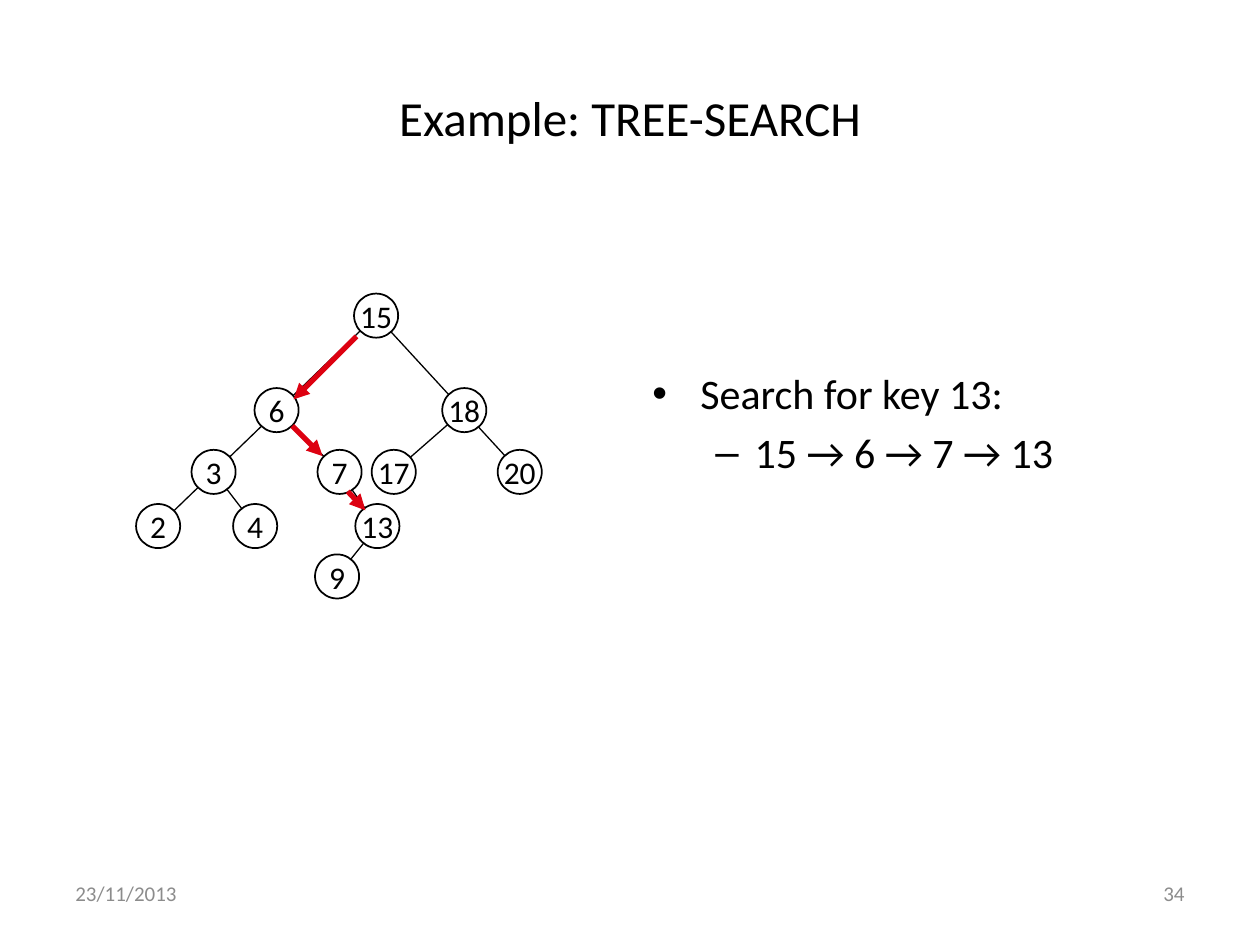
import pptx
import pptx.util
import pptx.dml.color
import pptx.enum.shapes
import pptx.enum.text
import pptx.oxml.ns
from lxml import etree

Inches, Pt = pptx.util.Inches, pptx.util.Pt
ALIGN = pptx.enum.text.PP_ALIGN
MIDDLE = pptx.enum.text.MSO_ANCHOR.MIDDLE
COLOURS = {"ink": "000000", "paper": "FFFFFF", "path": "DD0111", "footer": "8C8C8C"}
FONT = "Calibri"
WIDTH, HEIGHT = 10, 7.5
MARGIN = 0.05 * WIDTH
NODE_SIZE = 0.35

# Tree levels: top of the row, then left edge of each key
LEVELS = [
    (2.33, {15: 2.81}),
    (3.08, {6: 2.02, 18: 3.51}),
    (3.57, {3: 1.52, 7: 2.52, 17: 2.95, 20: 3.95}),
    (4.0, {2: 1.08, 4: 1.85, 13: 2.82}),
    (4.4, {9: 2.5}),
]
# Straight branches, some running through a key in between
BRANCHES = [(9, 13), (7, 13), (17, 18), (4, 3), (7, 6), (20, 15), (2, 15)]
SEARCH_STEPS = [
    ((2.83, 2.67), (2.33, 3.17)),
    ((2.32, 3.38), (2.56, 3.62)),
    ((2.76, 3.9), (2.9, 4.05)),
]


def colour(name):
    return pptx.dml.color.RGBColor.from_string(COLOURS[name])


def add_child(parent, tag, **attributes):
    return etree.SubElement(parent, pptx.oxml.ns.qn(tag), attributes)


def style(paragraph, size, ink="ink", align=None):
    paragraph.alignment = align
    for run in paragraph.runs:
        run.font.name = FONT
        run.font.size = Pt(size)
        run.font.color.rgb = colour(ink)


def add_line(shapes, start, end, ink, weight, arrow=False):
    line = shapes.add_connector(pptx.enum.shapes.MSO_CONNECTOR.STRAIGHT,
                                *(Inches(v) for v in (*start, *end)))
    line.line.color.rgb = colour(ink)
    line.line.width = Pt(weight)
    if arrow:
        add_child(line.line._get_or_add_ln(), "a:tailEnd", type="triangle")
    add_child(line._element.spPr, "a:effectLst")


def add_node(shapes, key, left, top):
    node = shapes.add_shape(pptx.enum.shapes.MSO_SHAPE.OVAL, Inches(left), Inches(top),
                            Inches(NODE_SIZE), Inches(NODE_SIZE))
    node.shadow.inherit = False
    node.fill.solid()
    node.fill.fore_color.rgb = colour("paper")
    node.line.color.rgb = colour("ink")
    node.line.width = Pt(1)
    frame = node.text_frame
    frame.margin_left = frame.margin_right = frame.margin_top = frame.margin_bottom = 0
    frame.word_wrap = False
    frame.vertical_anchor = MIDDLE
    frame.text = str(key)
    style(frame.paragraphs[0], 18, align=ALIGN.CENTER)


def add_tree(slide):
    tree = slide.shapes.add_group_shape().shapes
    half = NODE_SIZE / 2
    centres = {key: (left + half, top + half)
               for top, row in LEVELS for key, left in row.items()}
    for child, ancestor in BRANCHES:
        add_line(tree, centres[child], centres[ancestor], "ink", 0.75)
    for top, row in LEVELS:
        for key, left in row.items():
            add_node(tree, key, left, top)


def add_text_box(slide, left, top, width, height):
    box = slide.shapes.add_textbox(*(Inches(v) for v in (left, top, width, height)))
    box.text_frame.word_wrap = True
    return box.text_frame


def add_footer(slide, text, left, align):
    frame = add_text_box(slide, left, 6.83, 2.33, 0.52)
    frame.vertical_anchor = MIDDLE
    frame.text = text
    style(frame.paragraphs[0], 12, "footer", align)


def add_search_notes(slide):
    frame = add_text_box(slide, 5.08, 2.87, 4.42, 1.71)
    frame.text = "Search for key 13:\n15 → 6 → 7 → 13"
    bullets = [("•", 0.38, 0.38), ("–", 0.81, 0.31)]
    for level, (paragraph, (mark, indent, hang)) in enumerate(zip(frame.paragraphs, bullets)):
        paragraph.level = level
        properties = paragraph._p.get_or_add_pPr()
        properties.set("marL", str(Inches(indent)))
        properties.set("indent", str(-Inches(hang)))
        add_child(properties, "a:buFont", typeface="Arial")
        add_child(properties, "a:buChar", char=mark)
        style(paragraph, 24)
    frame.paragraphs[1].space_before = Pt(0.2 * 24)


def add_title(slide, text):
    title = slide.shapes.title
    title.left, title.top = Inches(MARGIN), Inches(0.04 * HEIGHT)
    title.width, title.height = Inches(WIDTH - 2 * MARGIN), Inches(1.25)
    title.text_frame.text = text
    title.text_frame.vertical_anchor = MIDDLE
    style(title.text_frame.paragraphs[0], 28, align=ALIGN.CENTER)


def main():
    deck = pptx.Presentation()
    deck.slide_width, deck.slide_height = Inches(WIDTH), Inches(HEIGHT)
    slide = deck.slides.add_slide(deck.slide_layouts.get_by_name("Title Only"))

    # Date and slide number
    add_footer(slide, "23/11/2013", MARGIN, ALIGN.LEFT)
    add_footer(slide, "34", WIDTH - MARGIN - 2.33, ALIGN.RIGHT)

    # Heading and explanation
    add_title(slide, "Example: TREE-SEARCH")
    add_search_notes(slide)

    # Search tree with the path to key 13
    add_tree(slide)
    for start, end in SEARCH_STEPS:
        add_line(slide.shapes, start, end, "path", 3, arrow=True)

    deck.save("out.pptx")


if __name__ == "__main__":
    main()
